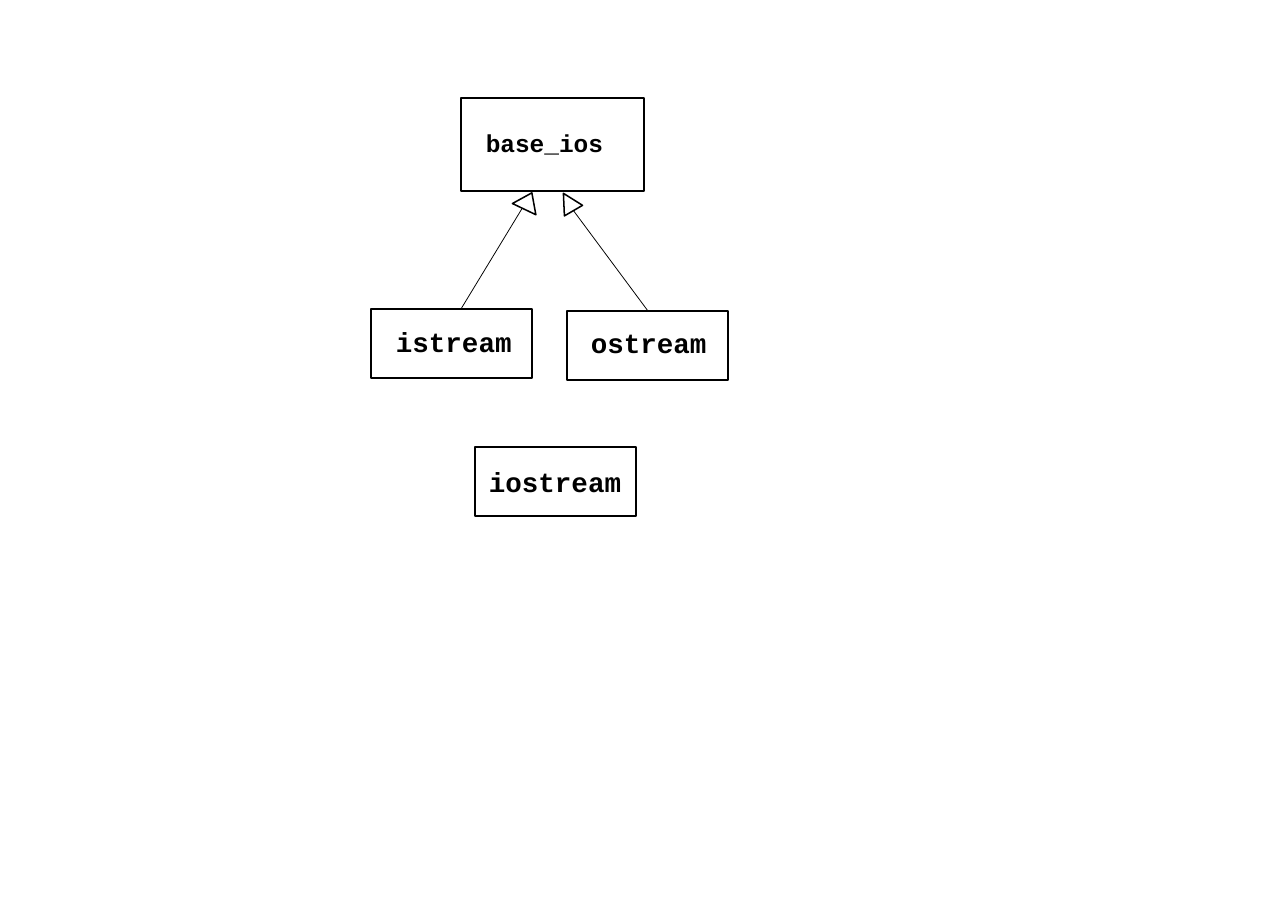
import pptx
import pptx.util
import pptx.dml.color
import pptx.enum.shapes
import pptx.enum.text
import pptx.oxml.ns
import lxml.etree

PX = 914400 / 110.2
SLIDE = (1288, 911)
FONT = "Courier New"
BLACK, WHITE = "000000", "FFFFFF"

CLASSES = [
    ("base_ios", 16, (461, 98, 183, 93), (475, 123, 154, 41)),
    ("istream", 18, (371, 309, 161, 69), (385, 320, 140, 44)),
    ("ostream", 18, (567, 311, 161, 69), (580, 321, 147, 44)),
    ("iostream", 18, (475, 447, 161, 69), (478, 460, 155, 44)),
]
INHERITANCE = [
    ((461, 309, 523, 207), (515, 192, 26, 18), 25.5),
    ((648, 311, 573, 210), (558, 192, 21, 20), 329.8),
]


def emu(lengths):
    return [round(n * PX) for n in lengths]


def color(hex_string):
    return pptx.dml.color.RGBColor.from_string(hex_string)


def add_outlined(kind, box):
    sp = s.shapes.add_shape(kind, *emu(box))
    sp.shadow.inherit = False
    sp.fill.solid()
    sp.fill.fore_color.rgb = color(WHITE)
    sp.line.color.rgb = color(BLACK)
    sp.line.width = pptx.util.Pt(1)
    return sp


def add_label(text, size, box):
    tf = s.shapes.add_textbox(*emu(box)).text_frame
    tf.word_wrap = True
    tf.auto_size = pptx.enum.text.MSO_AUTO_SIZE.SHAPE_TO_FIT_TEXT
    r = tf.paragraphs[0].add_run()
    r.text = text
    r.font.name = FONT
    r.font.size = pptx.util.Pt(size)
    r.font.bold = True
    r.font.color.rgb = color(BLACK)


def add_line(ends):
    line = s.shapes.add_connector(pptx.enum.shapes.MSO_CONNECTOR.STRAIGHT, *emu(ends))
    line.line.color.rgb = color(BLACK)
    line.line.width = pptx.util.Pt(0.5)
    lxml.etree.SubElement(line._element.spPr, pptx.oxml.ns.qn("a:effectLst"))


prs = pptx.Presentation()
prs.slide_width, prs.slide_height = emu(SLIDE)
s = prs.slides.add_slide(prs.slide_layouts[6])

for name, size, box, label_box in CLASSES:
    add_outlined(pptx.enum.shapes.MSO_SHAPE.RECTANGLE, box)
    add_label(name, size, label_box)

for ends, head_box, angle in INHERITANCE:
    add_line(ends)
    head = add_outlined(pptx.enum.shapes.MSO_SHAPE.ISOSCELES_TRIANGLE, head_box)
    head.rotation = angle

prs.save("out.pptx")
